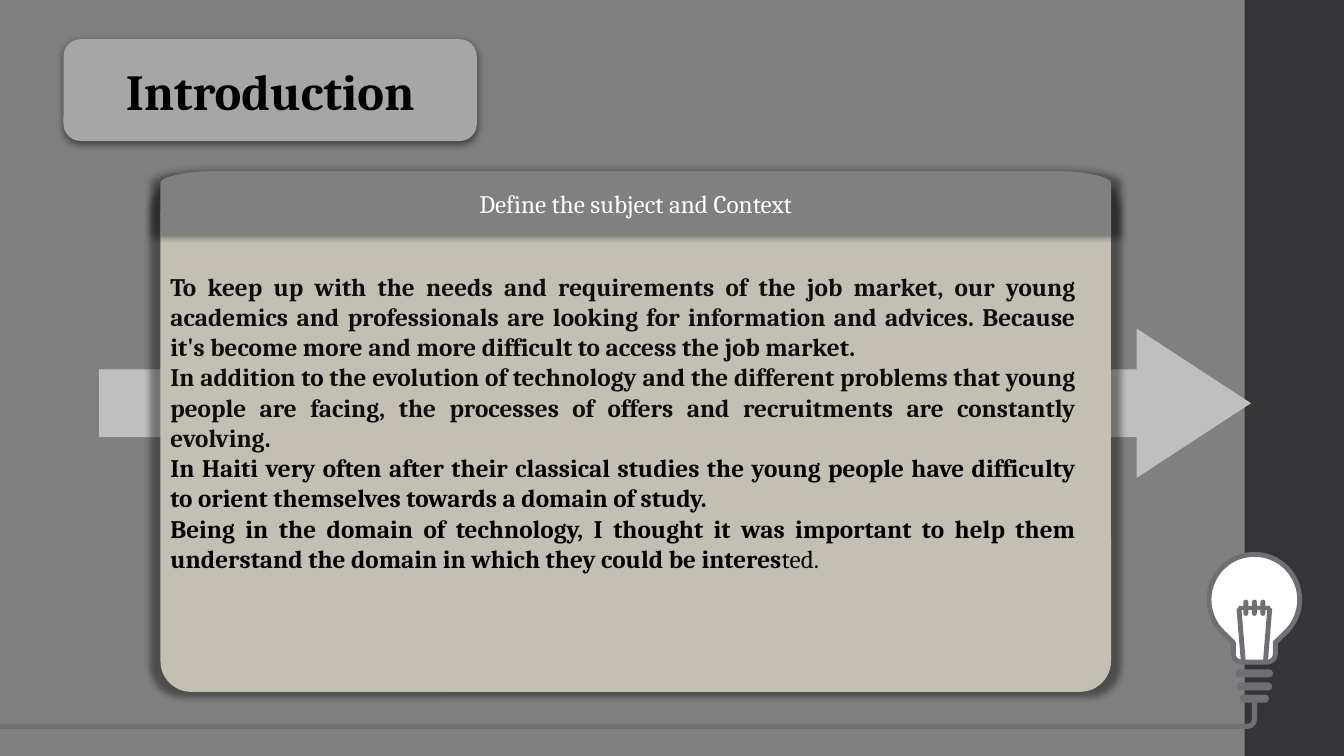
from math import cos, radians, sin

from lxml.etree import SubElement
from pptx import Presentation
from pptx.dml.color import RGBColor
from pptx.enum.shapes import MSO_CONNECTOR as Connector, MSO_SHAPE as Shape
from pptx.enum.text import MSO_ANCHOR as Anchor, MSO_AUTO_SIZE as AutoSize, PP_ALIGN as Align
from pptx.oxml.ns import qn
from pptx.util import Pt

FONT = "Cambria"
TITLE = "Introduction"
HEADER = "Define the subject and Context"
PARAGRAPHS = [
    ("0D0D0D", "To keep up with the needs and requirements of the job market, our young academics and "
     "professionals are looking for information and advices. Because it's become more and more "
     "difficult to access the job market.", ""),
    ("0D0D0D", "In addition to the evolution of technology and the different problems that young people "
     "are facing, the processes of offers and recruitments are constantly evolving.", ""),
    ("000000", "In Haiti very often after their classical studies the young people have difficulty to "
     "orient themselves towards a domain of study.", ""),
    ("000000", "Being in the domain of technology, I thought it was important to help them understand "
     "the domain in which they could be interes", "ted."),
]
GREY, BULB_GREY = "808080", "6F6F74"
TITLE_BOX = (45.4, 28, 295.2, 72.7)
CARD_LEFT, CARD_WIDTH = 114.6, 679
HEADER_TOP, HEADER_HEIGHT = 122.2, 46
CORNER_X, CORNER_Y = 41.4, 8.6
BULB_X, BULB_Y, BULB_RADIUS = 896, 428.4, 32.4
NECK_HALF, NECK_CORNER, NECK_TOP, NECK_BOTTOM = 15, 6, 459, 473
THREADS = [(26.6, 478.1), (25.2, 487.4), (20.9, 496.1)]


def color(value):
    return RGBColor.from_string(value)


def arc(center_x, center_y, radius_x, radius_y, start, end, steps=12):
    angles = [radians(start + (end - start) * i / steps) for i in range(steps + 1)]
    return [(center_x + radius_x * cos(a), center_y + radius_y * sin(a)) for a in angles]


def paint(shape, fill):
    shape.shadow.inherit = False
    shape.fill.solid()
    shape.fill.fore_color.rgb = color(fill)
    shape.line.fill.background()
    return shape


def add_block(slide, kind, box, fill, adjustments=()):
    shape = paint(slide.shapes.add_shape(kind, *map(Pt, box)), fill)
    for index, value in enumerate(adjustments):
        shape.adjustments[index] = value
    return shape


def add_outline(slide, points, fill):
    corners = [(Pt(x), Pt(y)) for x, y in points]
    builder = slide.shapes.build_freeform(*corners[0])
    builder.add_line_segments(corners[1:], close=True)
    return paint(builder.convert_to_shape(), fill)


def add_shadow(shape, opacity, blur, distance=0, scale=100):
    effects = shape._element.spPr.find(qn("a:effectLst"))
    shadow = SubElement(effects, qn("a:outerShdw"), blurRad=str(Pt(blur)), dist=str(Pt(distance)),
                        dir="5400000", sx=str(scale * 1000), sy=str(scale * 1000),
                        algn="ctr", rotWithShape="0")
    black = SubElement(shadow, qn("a:srgbClr"), val="000000")
    SubElement(black, qn("a:alpha"), val=str(opacity * 1000))


def set_font(paragraph, size, value, bold, align):
    paragraph.alignment = align
    paragraph.font.name = FONT
    paragraph.font.size = Pt(size)
    paragraph.font.bold = bold
    paragraph.font.color.rgb = color(value)


def add_bulb(slide):
    corner_x, corner_y = NECK_HALF - NECK_CORNER, NECK_BOTTOM - NECK_CORNER
    glass = add_outline(slide, [
        *arc(BULB_X, BULB_Y, BULB_RADIUS, BULB_RADIUS, 135, 405, 48),
        (BULB_X + NECK_HALF, NECK_TOP),
        *arc(BULB_X + corner_x, corner_y, NECK_CORNER, NECK_CORNER, 0, 90),
        *arc(BULB_X - corner_x, corner_y, NECK_CORNER, NECK_CORNER, 90, 180),
        (BULB_X - NECK_HALF, NECK_TOP),
    ], "FFFFFF")
    glass.line.color.rgb = color(BULB_GREY)
    glass.line.width = Pt(3.5)
    for width, top in THREADS:
        add_block(slide, Shape.ROUNDED_RECTANGLE, (BULB_X - width / 2, top, width, 5.8), BULB_GREY, [0.5])
    add_block(slide, Shape.RECTANGLE, (BULB_X - 11.5, 432.7, 23, 2.9), BULB_GREY)
    for side in (-1, 0, 1):
        add_block(slide, Shape.ROUNDED_RECTANGLE, (BULB_X + side * 6.1 - 1.8, 428.4, 3.6, 11.5),
                  BULB_GREY, [0.5])
    for side in (-1, 1):
        wire = slide.shapes.add_connector(Connector.STRAIGHT, Pt(BULB_X + side * 11), Pt(434.5),
                                          Pt(BULB_X + side * 8), Pt(471.5))
        wire.line.color.rgb = color(BULB_GREY)
        wire.line.width = Pt(3.5)
        SubElement(wire._element.spPr, qn("a:effectLst"))
    add_block(slide, Shape.RECTANGLE, (0, 517, 890.6, 3.7), BULB_GREY)
    add_block(slide, Shape.RECTANGLE, (894.2, 501.8, 3.7, 12.3), BULB_GREY)
    add_block(slide, Shape.BLOCK_ARC, (884.2, 507, 13.7, 13.7), BULB_GREY, [213.394, 60.915, 0.271])


def add_card(slide):
    body = add_block(slide, Shape.ROUNDED_RECTANGLE, (CARD_LEFT, 132, CARD_WIDTH, 362.2), "C3BFB5", [0.061])
    right, bottom = CARD_LEFT + CARD_WIDTH, HEADER_TOP + HEADER_HEIGHT
    header = add_outline(slide, [
        *arc(CARD_LEFT + CORNER_X, HEADER_TOP + CORNER_Y, CORNER_X, CORNER_Y, 180, 270),
        *arc(right - CORNER_X, HEADER_TOP + CORNER_Y, CORNER_X, CORNER_Y, 270, 360),
        (right, bottom), (CARD_LEFT, bottom),
    ], GREY)
    for shape in (body, header):
        add_shadow(shape, 40, 5, scale=102)
    frame = header.text_frame
    frame.vertical_anchor = Anchor.MIDDLE
    frame.text = HEADER
    set_font(frame.paragraphs[0], 18, "FFFFFF", False, Align.CENTER)

    frame = slide.shapes.add_textbox(Pt(CARD_LEFT), Pt(190), Pt(661), Pt(269.3)).text_frame
    frame.word_wrap = True
    for index, (value, strong, plain) in enumerate(PARAGRAPHS):
        paragraph = frame.add_paragraph() if index else frame.paragraphs[0]
        set_font(paragraph, 18, value, True, Align.JUSTIFY)
        paragraph.add_run().text = strong
        if plain:
            run = paragraph.add_run()
            run.text = plain
            run.font.bold = False


def add_title(slide):
    plate = add_block(slide, Shape.ROUNDED_RECTANGLE, TITLE_BOX, "A6A6A6")
    add_shadow(plate, 55, 6, distance=2)
    title = slide.shapes.title
    title.left, title.top, title.width, title.height = map(Pt, TITLE_BOX)
    plate._element.addnext(title._element)
    frame = title.text_frame
    frame.text = TITLE
    frame.auto_size = AutoSize.NONE
    frame.vertical_anchor = Anchor.MIDDLE
    set_font(frame.paragraphs[0], 36, "000000", True, Align.CENTER)


def main():
    presentation = Presentation()
    presentation.slide_width, presentation.slide_height = Pt(960), Pt(540)
    slide = presentation.slides.add_slide(presentation.slide_layouts[5])
    slide.background.fill.solid()
    slide.background.fill.fore_color.rgb = color(GREY)
    add_block(slide, Shape.RECTANGLE, (889, 0, 71, 540), "353537")
    add_bulb(slide)
    add_block(slide, Shape.RIGHT_ARROW, (70.6, 234.7, 823, 106.6), "BFBFBF", [0.453, 0.766])
    add_card(slide)
    add_title(slide)
    presentation.save("out.pptx")


if __name__ == "__main__":
    main()
